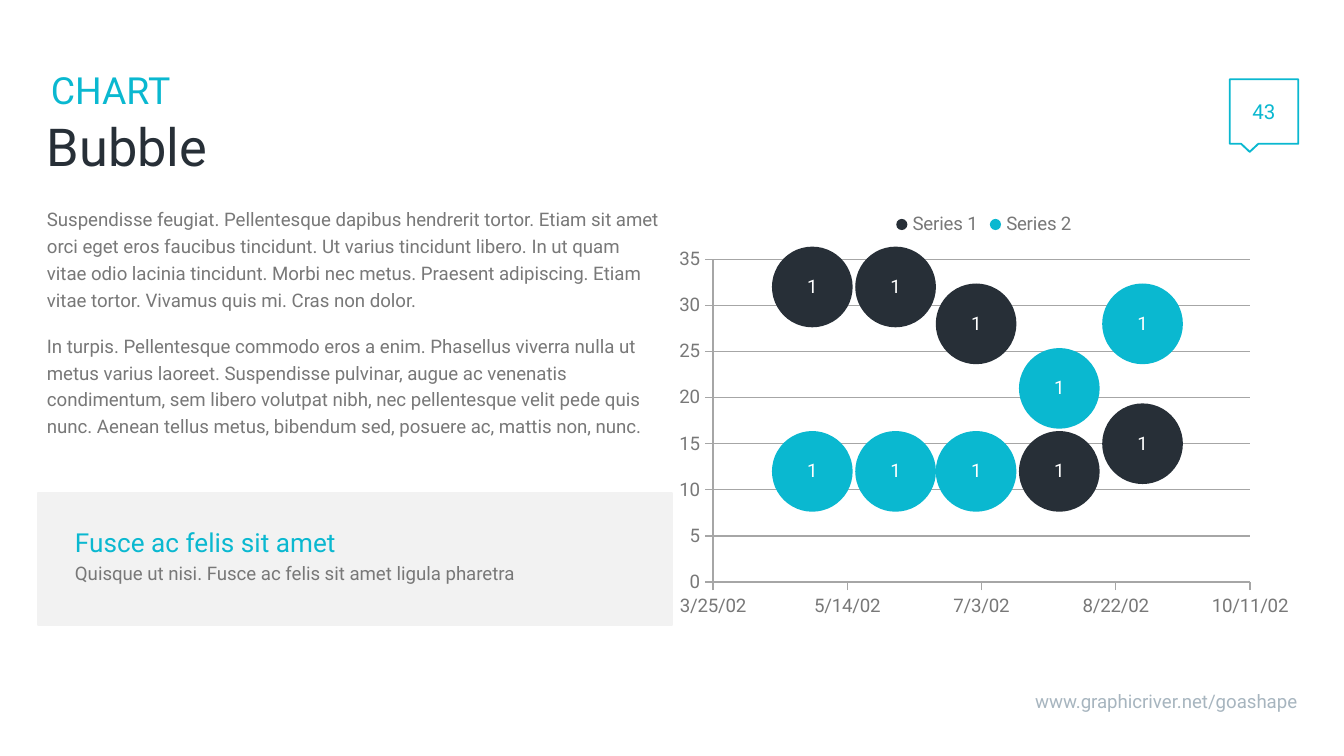
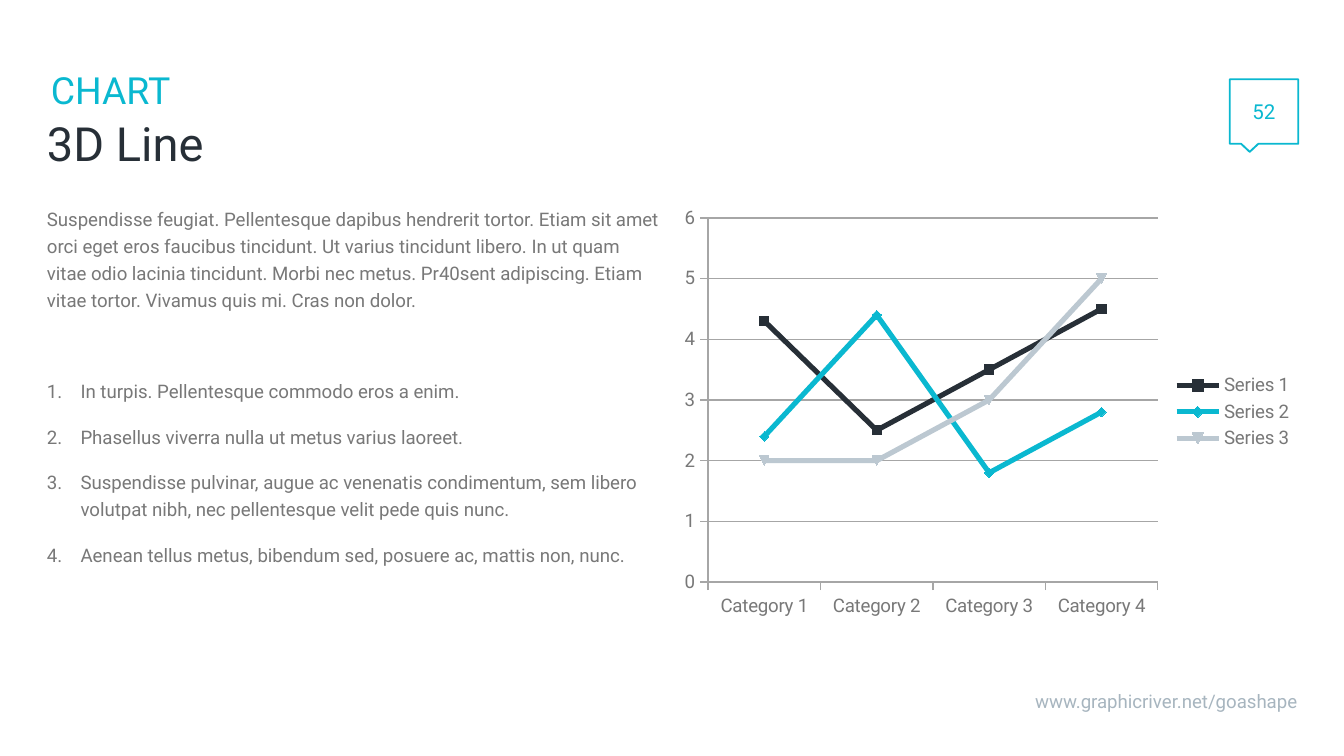
from pptx import Presentation
from pptx.chart.data import BubbleChartData, CategoryChartData
from pptx.chart.datalabel import DataLabels
from pptx.dml.color import RGBColor
from pptx.enum.chart import XL_CHART_TYPE, XL_LABEL_POSITION, XL_LEGEND_POSITION, XL_TICK_MARK
from pptx.enum.shapes import MSO_SHAPE
from pptx.enum.text import MSO_ANCHOR, PP_ALIGN
from pptx.oxml.ns import qn
from pptx.util import Pt
from lxml import etree

TOP, MIDDLE, BOTTOM = MSO_ANCHOR.TOP, MSO_ANCHOR.MIDDLE, MSO_ANCHOR.BOTTOM
LEFT, CENTER, RIGHT = PP_ALIGN.LEFT, PP_ALIGN.CENTER, PP_ALIGN.RIGHT
BUBBLE, LINE = XL_CHART_TYPE.BUBBLE, XL_CHART_TYPE.LINE_MARKERS
OUTSIDE = XL_TICK_MARK.OUTSIDE

FONT = "Roboto"
CYAN, DARK, SILVER = "0AB8D0", "272F37", "BCC8D1"
GREY, PALE, FOOT, RULE, WHITE = "787878", "F2F2F2", "A7B5BF", "A6A6A6", "FFFFFF"

MARGIN, COL_W = 20.16, 339.84
BODY_TOP, BODY_H = 106.56, 228.24


def rgb(value):
    return RGBColor.from_string(value)


def write(shape, lines, insets, anchor=TOP, align=LEFT, spacing=1.0, gap=0):
    """Fill a shape with (text, size, colour) lines, gap points apart."""
    tf = shape.text_frame
    tf.word_wrap = True
    tf.vertical_anchor = anchor
    tf.margin_left, tf.margin_top, tf.margin_right, tf.margin_bottom = map(Pt, insets)
    for i, (text, size, color) in enumerate(lines):
        p = tf.add_paragraph() if i else tf.paragraphs[0]
        p.text = text
        p.alignment = align
        p.line_spacing = spacing
        p.space_before = Pt(gap if i else 0)
        for r in p.runs:
            r.font.name = FONT
            r.font.size = Pt(size)
            r.font.color.rgb = rgb(color)
    return tf


# Chart data
bubbles = BubbleChartData()
first_of_month = [37377, 37408, 37438, 37469, 37500]
for name, values in [("Series 1", [32, 32, 28, 12, 15]), ("Series 2", [12, 12, 12, 21, 28])]:
    series = bubbles.add_series(name)
    for day, value in zip(first_of_month, values):
        series.add_data_point(day, value, 1)

lines = CategoryChartData()
lines.categories = [f"Category {n}" for n in range(1, 5)]
lines.add_series("Series 1", [4.3, 2.5, 3.5, 4.5])
lines.add_series("Series 2", [2.4, 4.4, 1.8, 2.8])
lines.add_series("Series 3", [2, 2, 3, 5])

# Slide contents
INTRO = (
    "Suspendisse feugiat. Pellentesque dapibus hendrerit tortor. Etiam sit amet orci eget eros "
    "faucibus tincidunt. Ut varius tincidunt libero. In ut quam vitae odio lacinia tincidunt. "
    "Morbi nec metus. {} adipiscing. Etiam vitae tortor. Vivamus quis mi. Cras non dolor."
)
bubble_text = [
    INTRO.format("Praesent"),
    "In turpis. Pellentesque commodo eros a enim. Phasellus viverra nulla ut metus varius laoreet. "
    "Suspendisse pulvinar, augue ac venenatis condimentum, sem libero volutpat nibh, nec "
    "pellentesque velit pede quis nunc. Aenean tellus metus, bibendum sed, posuere ac, mattis "
    "non, nunc.",
]
line_text = [
    INTRO.format("Pr40sent"),
    "In turpis. Pellentesque commodo eros a enim.",
    "Phasellus viverra nulla ut metus varius laoreet.",
    "Suspendisse pulvinar, augue ac venenatis condimentum, sem libero volutpat nibh, nec "
    "pellentesque velit pede quis nunc.",
    "Aenean tellus metus, bibendum sed, posuere ac, mattis non, nunc.",
]
slides = [
    ("Bubble", 28, "43", bubble_text, BUBBLE, bubbles, 357.12, XL_LEGEND_POSITION.TOP, (35, 5)),
    ("3D Line", 25.2, "52", line_text, LINE, lines, 360, XL_LEGEND_POSITION.RIGHT, (6, 1)),
]

prs = Presentation()
prs.slide_width, prs.slide_height = Pt(720), Pt(405)

for title, title_size, number, body, kind, data, chart_left, legend_side, scale in slides:
    s = prs.slides.add_slide(prs.slide_layouts[6])

    # Heading, body and footer
    tb = s.shapes.add_textbox(Pt(MARGIN), Pt(33.84), Pt(622), Pt(31))
    write(tb, [("CHART", 20, CYAN)], (7.2, 3.6, 7.2, 3.6), MIDDLE, spacing=0.9)
    tb = s.shapes.add_textbox(Pt(MARGIN), Pt(BODY_TOP), Pt(COL_W), Pt(BODY_H))
    body_tf = write(tb, [(text, 10, GREY) for text in body], (5, 2.7, 5, 2.7), spacing=1.2, gap=10)
    tb = s.shapes.add_textbox(Pt(MARGIN), Pt(64.8), Pt(622), Pt(30.24))
    write(tb, [(title, title_size, DARK)], (5, 0, 5, 0), spacing=0.9)
    tb = s.shapes.add_textbox(Pt(360), Pt(347.76), Pt(COL_W), Pt(33.84))
    write(tb, [("www.graphicriver.net/goashape", 10, FOOT)], (5, 0, 5, 0), BOTTOM, RIGHT)

    # Chart
    frame = s.shapes.add_chart(kind, Pt(chart_left), Pt(BODY_TOP), Pt(COL_W), Pt(BODY_H), data)
    chart = frame.chart
    chart.has_title = False
    chart.font.name = FONT
    chart.font.size = Pt(10)
    chart.font.color.rgb = rgb(GREY)
    chart.has_legend = True
    chart.legend.position = legend_side
    chart.legend.include_in_layout = False
    x_axis, y_axis = chart.category_axis, chart.value_axis
    for axis in (x_axis, y_axis):
        axis.major_tick_mark = OUTSIDE
        axis.format.line.color.rgb = rgb(RULE)
    x_axis.has_major_gridlines = False
    y_axis.has_major_gridlines = True
    y_axis.major_gridlines.format.line.color.rgb = rgb(RULE)
    y_axis.minimum_scale = 0
    y_axis.maximum_scale, y_axis.major_unit = scale

    plot = chart.plots[0]
    for series, color in zip(plot.series, [DARK, CYAN, SILVER]):
        if kind == BUBBLE:
            series.format.fill.solid()
            series.format.fill.fore_color.rgb = rgb(color)
            labels = DataLabels(series._element.get_or_add_dLbls())
            labels.show_value = True
            labels.position = XL_LABEL_POSITION.CENTER
            labels.font.size = Pt(10)
            labels.font.name = FONT
            labels.font.color.rgb = rgb(WHITE)
        else:
            series.smooth = False
            series.format.line.width = Pt(2.75)
            series.format.line.color.rgb = rgb(color)
            series.marker.format.fill.solid()
            series.marker.format.fill.fore_color.rgb = rgb(color)
            series.marker.format.line.color.rgb = rgb(color)

    if kind == BUBBLE:
        x_axis.minimum_scale, x_axis.maximum_scale, x_axis.major_unit = 37340, 37540, 50
        x_axis.tick_labels.number_format = "m/d/yy"
        x_axis.tick_labels.number_format_is_linked = False

        panel = s.shapes.add_shape(
            MSO_SHAPE.RECTANGLE, Pt(MARGIN), Pt(264.24), Pt(COL_W), Pt(70.56))
        panel.shadow.inherit = False
        panel.fill.solid()
        panel.fill.fore_color.rgb = rgb(PALE)
        panel.line.color.rgb = rgb(PALE)
        panel.line.width = Pt(1)
        write(panel, [
            ("Fusce ac felis sit amet", 14, CYAN),
            ("Quisque ut nisi. Fusce ac felis sit amet ligula pharetra", 10, GREY),
        ], (20, 14.4, 20, 0), spacing=1.2)
    else:
        plot.vary_by_categories = False
        for p in body_tf.paragraphs[1:]:
            pPr = p._p.get_or_add_pPr()
            pPr.set("marL", str(Pt(18)))
            pPr.set("indent", str(-Pt(18)))
            etree.SubElement(pPr, qn("a:buAutoNum"), type="arabicPeriod")
        body_tf.paragraphs[1].space_before = Pt(34.4)

    # Slide number callout
    callout = s.shapes.add_shape(
        MSO_SHAPE.RECTANGULAR_CALLOUT, Pt(658.8), Pt(42.48), Pt(36.72), Pt(34.56))
    callout.shadow.inherit = False
    callout.fill.background()
    callout.line.color.rgb = rgb(CYAN)
    callout.line.width = Pt(1)
    tf = write(callout, [(number, 11, CYAN)], (11.5, 10.8, 11.5, 10.8), MIDDLE, CENTER)
    tf.word_wrap = False

prs.save("out.pptx")
